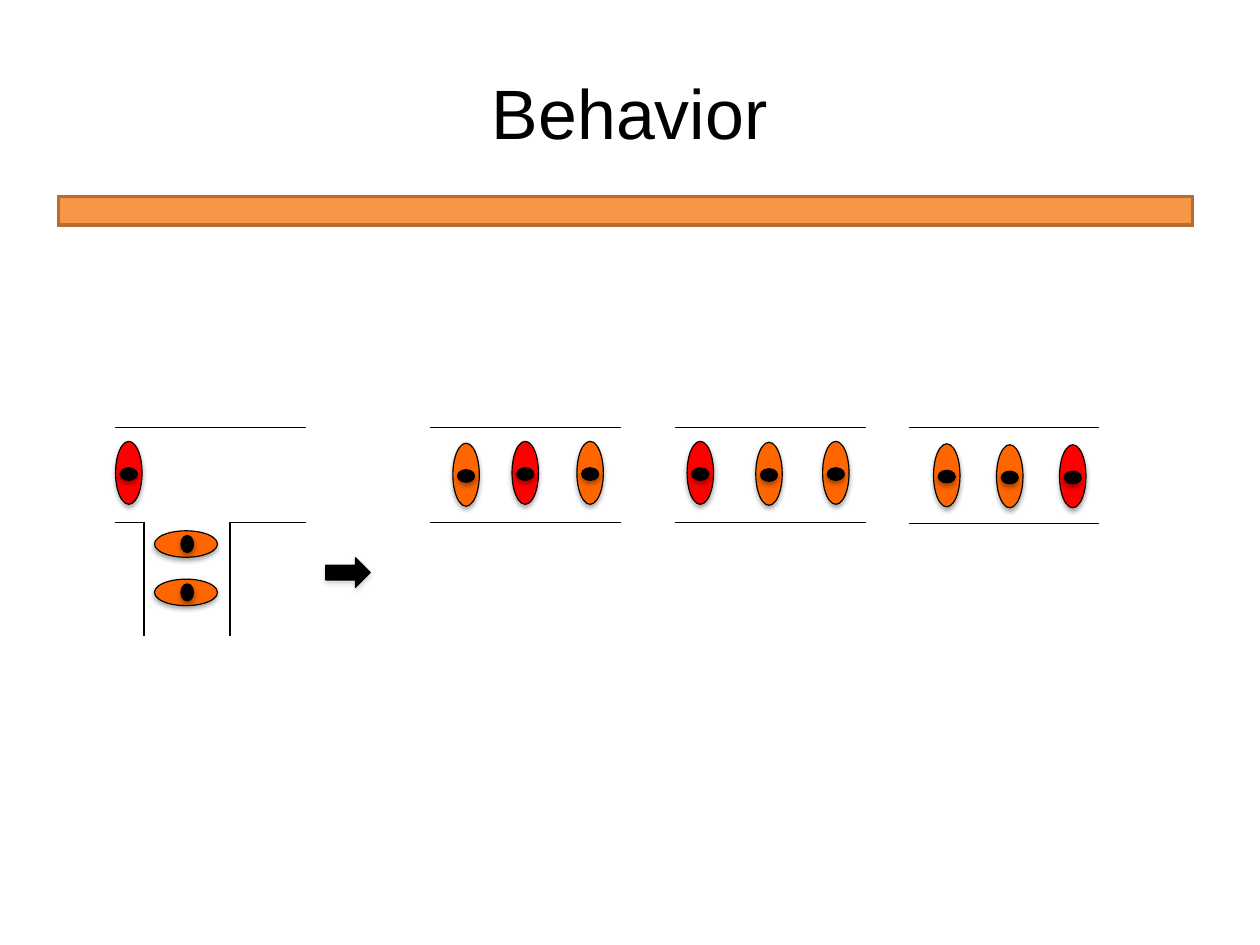
import lxml.etree
import pptx
import pptx.dml.color
import pptx.enum.shapes
import pptx.enum.text
import pptx.oxml.ns
import pptx.util

BLACK = pptx.dml.color.RGBColor(0x00, 0x00, 0x00)
GRAY = pptx.dml.color.RGBColor(0x80, 0x80, 0x80)
RED = pptx.dml.color.RGBColor(0xFF, 0x00, 0x00)
ORANGE = pptx.dml.color.RGBColor(0xFF, 0x66, 0x00)
BAR_FILL = pptx.dml.color.RGBColor(0xF7, 0x96, 0x46)
BAR_EDGE = pptx.dml.color.RGBColor(0xB6, 0x6D, 0x31)

SLIDE_WIDTH = pptx.util.Cm(28)
SLIDE_HEIGHT = pptx.util.Cm(21)
COLUMN = SLIDE_WIDTH / 100
ROW = SLIDE_HEIGHT / 100

BODY_LENGTH, BODY_BREADTH = 5 * COLUMN, 2.8 * ROW
EYE_LENGTH, EYE_BREADTH = COLUMN, 1.8 * ROW
EYE_SHIFT = 0.1 * COLUMN

CORRIDOR_TOP, CORRIDOR_WIDTH, CORRIDOR_HEIGHT = 45.22, 15.15, 10.04
SIDE_LEFT, SIDE_RIGHT, SIDE_END = 0.15, 0.6, 2.2
JUNCTION_LEFT = 9.16
QUEUE = [(0.37, 1.74), (0.37, 1.23)]
OUTCOMES = [
    (34.11, CORRIDOR_HEIGHT, [(0.84, 0.48, ORANGE), (0.5, 0.48, RED), (0.19, 0.5, ORANGE)]),
    (53.61, CORRIDOR_HEIGHT, [(0.84, 0.48, ORANGE), (0.13, 0.48, RED), (0.49, 0.49, ORANGE)]),
    (72.11, 10.16, [(0.53, 0.51, ORANGE), (0.86, 0.51, RED), (0.2, 0.5, ORANGE)]),
]

TITLE_FRAME = {
    "margin_left": 0, "margin_right": 0, "margin_top": 0, "margin_bottom": 0,
    "vertical_anchor": pptx.enum.text.MSO_ANCHOR.MIDDLE,
    "auto_size": pptx.enum.text.MSO_AUTO_SIZE.NONE, "word_wrap": True,
}
TITLE_PARAGRAPH = {"alignment": pptx.enum.text.PP_ALIGN.CENTER, "line_spacing": 0.93}
TITLE_FONT = {"name": "Arial", "size": pptx.util.Pt(44)}
SHADOW = {"blurRad": "39400", "dist": "22900", "dir": "5400000", "rotWithShape": "0"}


def apply_format(target, values):
    for attribute, value in values.items():
        setattr(target, attribute, value)


def grid_box(left, top, width, height):
    return [round(size) for size in (left * COLUMN, top * ROW, width * COLUMN, height * ROW)]


def paint(shape, fill, edge, weight):
    shape.fill.solid()
    shape.fill.fore_color.rgb = fill
    shape.line.color.rgb = edge
    shape.line.width = pptx.util.Pt(weight)
    shape.shadow.inherit = False


def cast_shadow(shape, color):
    qn = pptx.oxml.ns.qn
    effects = shape._element.spPr.find(qn("a:effectLst"))
    outer = lxml.etree.SubElement(effects, qn("a:outerShdw"), SHADOW)
    tint = lxml.etree.SubElement(outer, qn("a:srgbClr"), {"val": str(color)})
    lxml.etree.SubElement(tint, qn("a:alpha"), {"val": "35000"})


def add_header(slide, title_box, bar_box):
    title = slide.shapes.title
    apply_format(title, dict(zip(("left", "top", "width", "height"), title_box)))
    apply_format(title.text_frame, TITLE_FRAME)
    title.text_frame.text = "Behavior"
    heading = title.text_frame.paragraphs[0]
    apply_format(heading, TITLE_PARAGRAPH)
    apply_format(heading.runs[0].font, TITLE_FONT)
    heading.runs[0].font.color.rgb = BLACK
    bar = slide.shapes.add_shape(pptx.enum.shapes.MSO_SHAPE.RECTANGLE, *bar_box)
    paint(bar, BAR_FILL, BAR_EDGE, 2)
    edge = bar._element.spPr.find(pptx.oxml.ns.qn("a:ln"))
    lxml.etree.SubElement(edge, pptx.oxml.ns.qn("a:miter"), {"lim": "800000"})


def add_wall(slide, box, start, end):
    left, top, width, height = box
    ends = [round(value) for x, y in (start, end) for value in (left + x * width, top + y * height)]
    wall = slide.shapes.add_connector(pptx.enum.shapes.MSO_CONNECTOR.STRAIGHT, *ends)
    wall.line.color.rgb = BLACK
    wall.line.width = pptx.util.Pt(0.75)
    lxml.etree.SubElement(wall._element.spPr, pptx.oxml.ns.qn("a:effectLst"))


def add_walker(slide, box, x, y, color, rotation=90):
    left, top, width, height = box
    center_x, center_y = left + x * width, top + y * height
    eye_x = center_x + (0 if rotation else EYE_SHIFT)
    eye_y = center_y + (EYE_SHIFT if rotation else 0)
    walker = slide.shapes.add_group_shape()
    for part_x, part_y, length, breadth, fill in (
        (center_x, center_y, BODY_LENGTH, BODY_BREADTH, color),
        (eye_x, eye_y, EYE_LENGTH, EYE_BREADTH, BLACK),
    ):
        part = walker.shapes.add_shape(
            pptx.enum.shapes.MSO_SHAPE.OVAL,
            round(part_x - length / 2), round(part_y - breadth / 2),
            round(length), round(breadth),
        )
        part.rotation = rotation
        paint(part, fill, BLACK, 0.75)
        cast_shadow(part, BLACK)


def add_junction(slide, box):
    for start, end in (
        ((0, 0), (1, 0)),
        ((SIDE_RIGHT, 1), (1, 1)),
        ((SIDE_RIGHT, 1), (SIDE_RIGHT, SIDE_END)),
        ((SIDE_LEFT, 1), (SIDE_LEFT, SIDE_END)),
        ((0, 1), (SIDE_LEFT, 1)),
    ):
        add_wall(slide, box, start, end)
    for x, y in QUEUE:
        add_walker(slide, box, x, y, ORANGE, rotation=0)
    add_walker(slide, box, 0.07, 0.48, RED)


def add_arrow(slide, box):
    arrow = slide.shapes.add_shape(pptx.enum.shapes.MSO_SHAPE.RIGHT_ARROW, *box)
    paint(arrow, BLACK, BLACK, 0.75)
    cast_shadow(arrow, GRAY)


def add_outcome(slide, box, walkers):
    for side in (0, 1):
        add_wall(slide, box, (0, side), (1, side))
    for x, y, color in walkers:
        add_walker(slide, box, x, y, color)


def main():
    deck = pptx.Presentation()
    apply_format(deck, {"slide_width": SLIDE_WIDTH, "slide_height": SLIDE_HEIGHT})
    slide = deck.slides.add_slide(deck.slide_layouts.get_by_name("Title Only"))
    add_header(slide, grid_box(4.99, 3.99, 90, 16.69), grid_box(4.63, 20.8, 90, 3.02))
    add_junction(slide, grid_box(JUNCTION_LEFT, CORRIDOR_TOP, CORRIDOR_WIDTH, CORRIDOR_HEIGHT))
    add_arrow(slide, grid_box(25.85, 59.02, 3.54, 3.14))
    for left, height, walkers in OUTCOMES:
        add_outcome(slide, grid_box(left, CORRIDOR_TOP, CORRIDOR_WIDTH, height), walkers)
    deck.save("out.pptx")


if __name__ == "__main__":
    main()
